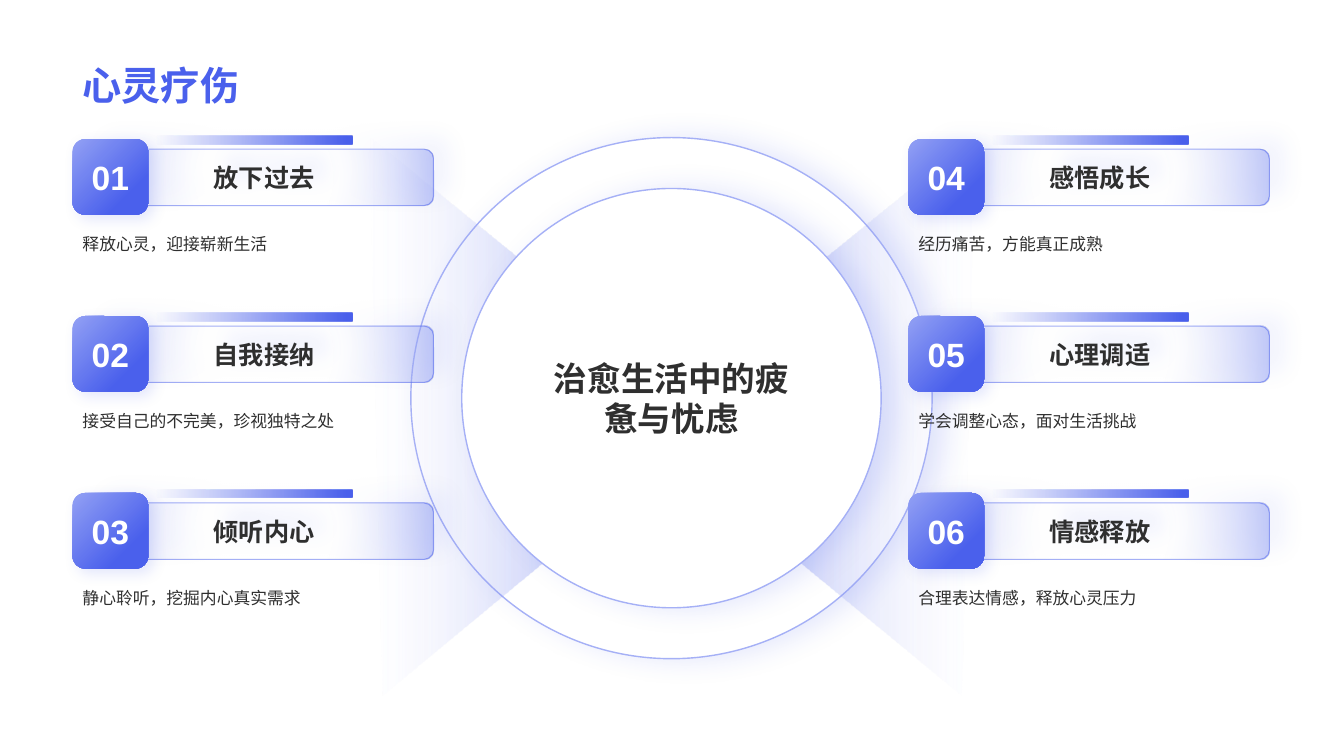
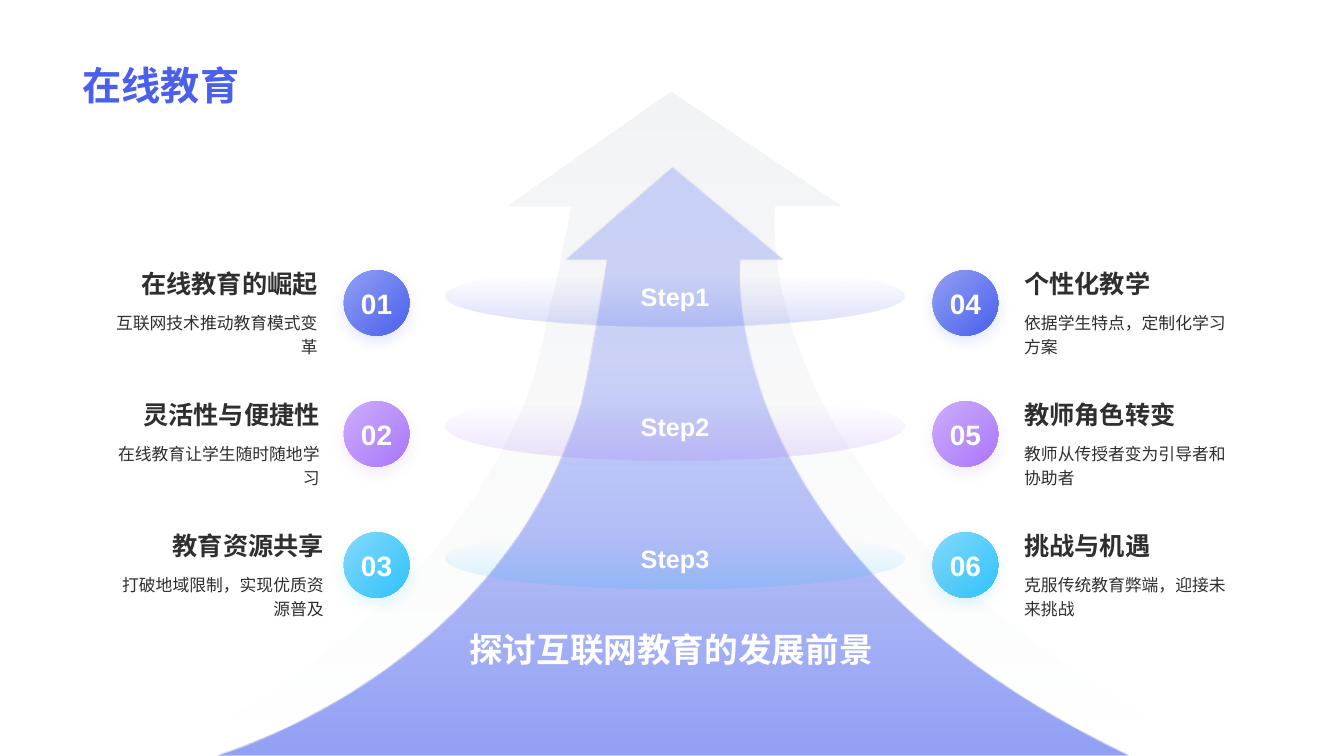
from dataclasses import dataclass
from typing import Any, Optional, Union

import pptx
import pptx.dml.color
import pptx.enum.shapes
import pptx.enum.text
import pptx.oxml.ns
import pptx.util
from lxml import etree

Inches = pptx.util.Inches
Pt = pptx.util.Pt
RGBColor = pptx.dml.color.RGBColor
Shape = pptx.enum.shapes.MSO_SHAPE
Align = pptx.enum.text.PP_ALIGN
Anchor = pptx.enum.text.MSO_ANCHOR
qn = pptx.oxml.ns.qn

FONT = "Arial"
BLUE = RGBColor(0x4A, 0x60, 0xEC)
SOFT_BLUE = RGBColor(0x92, 0xA0, 0xF4)
PALE_BLUE = RGBColor(0xDB, 0xDF, 0xFB)
RING_BLUE = RGBColor(0xA5, 0xB0, 0xF6)
PURPLE = RGBColor(0xAA, 0x77, 0xFA)
SOFT_PURPLE = RGBColor(0xCC, 0xAD, 0xFC)
CYAN = RGBColor(0x30, 0xC2, 0xFA)
SOFT_CYAN = RGBColor(0x83, 0xDA, 0xFC)
GREY = RGBColor(0x77, 0x84, 0x95)
INK = RGBColor(0x2F, 0x2F, 0x2F)
WHITE = RGBColor(0xFF, 0xFF, 0xFF)

Point = tuple[float, float]


@dataclass(frozen=True)
class Box:
    left: float
    top: float
    width: float
    height: float

    def lengths(self) -> list[int]:
        return [Inches(n) for n in (self.left, self.top, self.width, self.height)]


@dataclass(frozen=True)
class Stop:
    position: int
    color: RGBColor
    opacity: int = 100


@dataclass(frozen=True)
class Shadow:
    color: RGBColor
    blur: int
    distance: int
    direction: int


@dataclass(frozen=True)
class Curve:
    pull: Point
    push: Point
    end: Point


@dataclass(frozen=True)
class TextStyle:
    size: int
    color: RGBColor = INK
    bold: bool = True
    align: Any = Align.CENTER
    anchor: Any = Anchor.MIDDLE
    spacing: Optional[float] = None
    wrap: bool = True


@dataclass(frozen=True)
class Entry:
    heading: str
    detail: str
    text_left: float


@dataclass(frozen=True)
class Step:
    label: str
    top: float
    height: float
    color: RGBColor
    start: float
    end: float


TITLE = TextStyle(28, BLUE, align=Align.LEFT, anchor=Anchor.BOTTOM)
HEADLINE = TextStyle(24)
HEADLINE_WHITE = TextStyle(24, WHITE)
LABEL = TextStyle(18)
STEP_LABEL = TextStyle(18, WHITE)
MARKER_NUMBER = TextStyle(20, WHITE, wrap=False)


def detail_style(align: Any) -> TextStyle:
    return TextStyle(12, bold=False, align=align, anchor=Anchor.TOP, spacing=1.2)


def write_text(shape: Any, text: str, style: TextStyle) -> None:
    frame = shape.text_frame
    frame.text = text
    frame.word_wrap = style.wrap
    frame.auto_size = pptx.enum.text.MSO_AUTO_SIZE.NONE
    frame.vertical_anchor = style.anchor
    para = frame.paragraphs[0]
    para.alignment = style.align
    if style.spacing:
        para.line_spacing = style.spacing
    font = para.runs[0].font
    font.name, font.size, font.bold = FONT, Pt(style.size), style.bold
    font.color.rgb = style.color


def add_text(page: Any, box: Box, text: str, style: TextStyle) -> None:
    write_text(page.shapes.add_textbox(*box.lengths()), text, style)


def set_opacity(color_element: Any, percent: int) -> None:
    alpha = etree.SubElement(color_element, qn("a:alpha"))
    alpha.set("val", str(percent * 1000))


def fill_gradient(shape: Any, stops: tuple[Stop, Stop], angle: Optional[int]) -> None:
    shape.fill.gradient()
    shape.fill.gradient_angle = -(angle or 0) % 360
    for target, stop in zip(shape.fill.gradient_stops, stops):
        target.position = stop.position / 100
        target.color.rgb = stop.color
    gradient = shape._element.spPr.find(qn("a:gradFill"))
    for element, stop in zip(gradient.iter(qn("a:srgbClr")), stops):
        set_opacity(element, stop.opacity)
    if angle is None:
        gradient.remove(gradient.find(qn("a:lin")))
        radial = etree.SubElement(gradient, qn("a:path"))
        radial.set("path", "circle")
        center = etree.SubElement(radial, qn("a:fillToRect"))
        for side in "ltrb":
            center.set(side, "50000")


def cast_shadow(shape: Any, shadow: Shadow) -> None:
    effects = shape._element.spPr.find(qn("a:effectLst"))
    outer = etree.SubElement(effects, qn("a:outerShdw"))
    outer.set("blurRad", str(Pt(shadow.blur)))
    outer.set("dist", str(Pt(shadow.distance)))
    outer.set("dir", str(shadow.direction * 60000))
    outer.set("algn", "ctr")
    outer.set("rotWithShape", "0")
    color = etree.SubElement(outer, qn("a:srgbClr"))
    color.set("val", str(shadow.color))
    set_opacity(color, 15)


def add_shape(page: Any, kind: Any, box: Box, shadow: Optional[Shadow] = None) -> Any:
    shape = page.shapes.add_shape(kind, *box.lengths())
    shape.shadow.inherit = False
    shape.line.fill.background()
    if shadow:
        cast_shadow(shape, shadow)
    return shape


def add_outline(page: Any, segments: list[Union[Point, Curve]], stops: tuple[Stop, Stop],
                angle: int) -> None:
    ends = [part.end if isinstance(part, Curve) else part for part in segments]
    corners = [(Inches(x), Inches(y)) for x, y in ends]
    builder = page.shapes.build_freeform(*corners[0], scale=1.0)
    builder.add_line_segments(corners[1:], close=True)
    shape = builder.convert_to_shape()
    shape.shadow.inherit = False
    shape.line.fill.background()
    lines = list(shape._element.spPr.iter(qn("a:lnTo")))
    for line, part in zip(lines, segments[1:]):
        if isinstance(part, Curve):
            bend = etree.Element(qn("a:cubicBezTo"))
            for x, y in (part.pull, part.push, part.end):
                point = etree.SubElement(bend, qn("a:pt"))
                point.set("x", str(Inches(x) - shape.left))
                point.set("y", str(Inches(y) - shape.top))
            line.getparent().replace(line, bend)
    fill_gradient(shape, stops, angle)


def add_page(deck: Any, title: str) -> Any:
    page = deck.slides.add_slide(deck.slide_layouts[5])
    holder = page.shapes.title
    holder.left, holder.top, holder.width, holder.height = Box(0.72, 0.15, 11.88, 0.98).lengths()
    write_text(holder, title, TITLE)
    return page


def add_circle(page: Any, size: float) -> None:
    box = Box(6.66 - size / 2, 3.95 - size / 2, size, size)
    circle = add_shape(page, Shape.ROUNDED_RECTANGLE, box, Shadow(BLUE, 20, 10, 0))
    circle.adjustments[0] = 0.5
    circle.fill.solid()
    circle.fill.fore_color.rgb = WHITE
    circle.line.color.rgb = RING_BLUE
    circle.line.width = Pt(1)


def add_card(page: Any, left: float, top: float, number: str, heading: str, detail: str) -> None:
    add_text(page, Box(left, top + 0.85, 3.36, 0.82), detail, detail_style(Align.LEFT))

    bar = add_shape(page, Shape.ROUNDED_RECTANGLE, Box(left + 0.22, top + 0.1, 3.36, 0.56),
                    Shadow(BLUE, 16, 12, 321))
    fill_gradient(bar, (Stop(40, PALE_BLUE, 0), Stop(97, SOFT_BLUE, 50)), None)
    bar.line.color.rgb = BLUE
    bar.line.width = Pt(0.75)
    set_opacity(bar.line._ln.find(".//" + qn("a:srgbClr")), 50)
    write_text(bar, heading, LABEL)

    badge = add_shape(page, Shape.ROUNDED_RECTANGLE, Box(left, top, 0.75, 0.75),
                      Shadow(BLUE, 10, 5, 45))
    fill_gradient(badge, (Stop(0, SOFT_BLUE), Stop(75, BLUE)), 45)
    write_text(badge, number, HEADLINE_WHITE)

    accent = add_shape(page, Shape.ROUNDED_RECTANGLE, Box(left + 0.83, top - 0.03, 1.95, 0.08))
    fill_gradient(accent, (Stop(0, BLUE, 0), Stop(97, BLUE)), 0)


def build_healing_page(deck: Any) -> None:
    page = add_page(deck, "心灵疗伤")
    add_circle(page, 5.17)
    fan = [(2.85, 1.36), (0, 3.68), (0, 4.65), (2.72, 6.9)]
    for origin, direction, angle in ((6.81, 1, 0), (6.51, -1, 180)):
        points = [(origin + direction * x, y) for x, y in fan]
        add_outline(page, points, (Stop(25, BLUE, 37), Stop(100, PALE_BLUE, 0)), angle)
    add_circle(page, 4.16)
    add_text(page, Box(5.32, 2.61, 2.68, 2.68), "治愈生活中的疲惫与忧虑", HEADLINE)
    cards = [
        ("放下过去", "释放心灵，迎接崭新生活"),
        ("自我接纳", "接受自己的不完美，珍视独特之处"),
        ("倾听内心", "静心聆听，挖掘内心真实需求"),
        ("感悟成长", "经历痛苦，方能真正成熟"),
        ("心理调适", "学会调整心态，面对生活挑战"),
        ("情感释放", "合理表达情感，释放心灵压力"),
    ]
    for index, (heading, detail) in enumerate(cards):
        column, row = divmod(index, 3)
        add_card(page, 0.72 + 8.29 * column, 1.38 + 3.51 * row / 2, f"{index + 1:02}",
                 heading, detail)


def add_entry(page: Any, index: int, entry: Entry) -> None:
    column, row = divmod(index, 3)
    top = 2.41 + 1.3 * row
    align = Align.LEFT if column else Align.RIGHT
    soft, strong = ((SOFT_BLUE, BLUE), (SOFT_PURPLE, PURPLE), (SOFT_CYAN, CYAN))[row]
    marker = add_shape(page, Shape.OVAL, Box(3.41 + 5.84 * column, top + 0.27, 0.65, 0.65),
                       Shadow(strong, 10, 4, 90))
    fill_gradient(marker, (Stop(0, soft), Stop(100, strong)), 45)
    write_text(marker, f"{index + 1:02}", MARKER_NUMBER)
    add_text(page, Box(entry.text_left, top + 0.6, 2.32, 0.6), entry.detail, detail_style(align))
    heading = add_shape(page, Shape.ROUNDED_RECTANGLE, Box(entry.text_left, top, 2.32, 0.6))
    heading.adjustments[0] = 0
    heading.fill.background()
    write_text(heading, entry.heading, TextStyle(18, align=align, anchor=Anchor.BOTTOM))


def add_step(page: Any, step: Step) -> None:
    disc = add_shape(page, Shape.ARC, Box(4.42, step.top, 4.55, step.height))
    disc.adjustments[0] = step.start
    disc.adjustments[1] = step.end
    fill_gradient(disc, (Stop(19, step.color, 0), Stop(100, step.color, 20)), 90)
    write_text(disc, step.label, STEP_LABEL)


def build_education_page(deck: Any) -> None:
    page = add_page(deck, "在线教育")
    entries = [
        Entry("在线教育的崛起", "互联网技术推动教育模式变革", 0.93),
        Entry("灵活性与便捷性", "在线教育让学生随时随地学习", 0.95),
        Entry("教育资源共享", "打破地域限制，实现优质资源普及", 0.99),
        Entry("个性化教学", "依据学生特点，定制化学习方案", 10.06),
        Entry("教师角色转变", "教师从传授者变为引导者和协助者", 10.06),
        Entry("挑战与机遇", "克服传统教育弊端，迎接未来挑战", 10.06),
    ]
    for index, entry in enumerate(entries):
        add_entry(page, index, entry)

    back_arrow = [(6.65, 0.91), (8.35, 2.05), (7.68, 2.05),
                  Curve((7.68, 2.05), (7.3, 5.03), (11.98, 7.42)),
                  (12.14, 7.5), (1.49, 7.5), (1.58, 7.46),
                  Curve((2.91, 6.82), (4.58, 5.69), (5.26, 3.83)),
                  Curve((5.39, 3.42), (5.66, 2.05), (5.66, 2.05)), (5.02, 2.05)]
    front_arrow = [(2.16, 7.5), Curve((2.16, 7.5), (4.97, 6.69), (5.76, 4.02)),
                   Curve((5.85, 3.69), (6.02, 2.58), (6.02, 2.58)),
                   (5.61, 2.58), (6.67, 1.66), (7.77, 2.58), (7.34, 2.58),
                   Curve((7.34, 2.58), (7.04, 5.51), (11.19, 7.5))]
    add_outline(page, back_arrow, (Stop(0, GREY, 10), Stop(100, GREY, 0)), 90)
    add_outline(page, front_arrow, (Stop(33, SOFT_BLUE, 43), Stop(100, SOFT_BLUE)), 90)
    add_text(page, Box(4.49, 6, 4.33, 0.88), "探讨互联网教育的发展前景", HEADLINE_WHITE)
    for step in (Step("Step2", 3.89, 0.68, PURPLE, 167.36, 166.52),
                 Step("Step3", 5.24, 0.6, CYAN, 169.39, 168.24),
                 Step("Step1", 2.64, 0.6, BLUE, 173.52, 171.8)):
        add_step(page, step)


def main() -> None:
    deck = pptx.Presentation()
    deck.slide_width, deck.slide_height = Inches(13.33), Inches(7.5)
    build_healing_page(deck)
    build_education_page(deck)
    deck.save("out.pptx")


if __name__ == "__main__":
    main()
